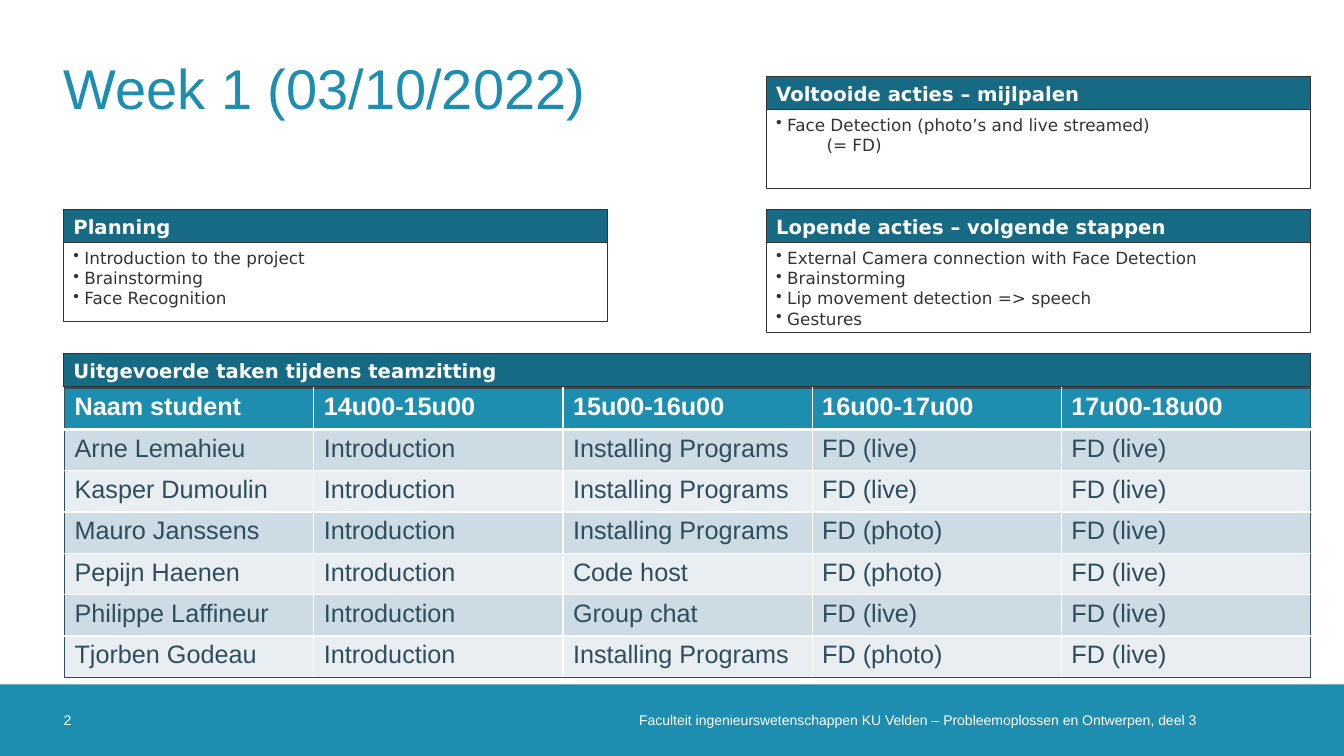
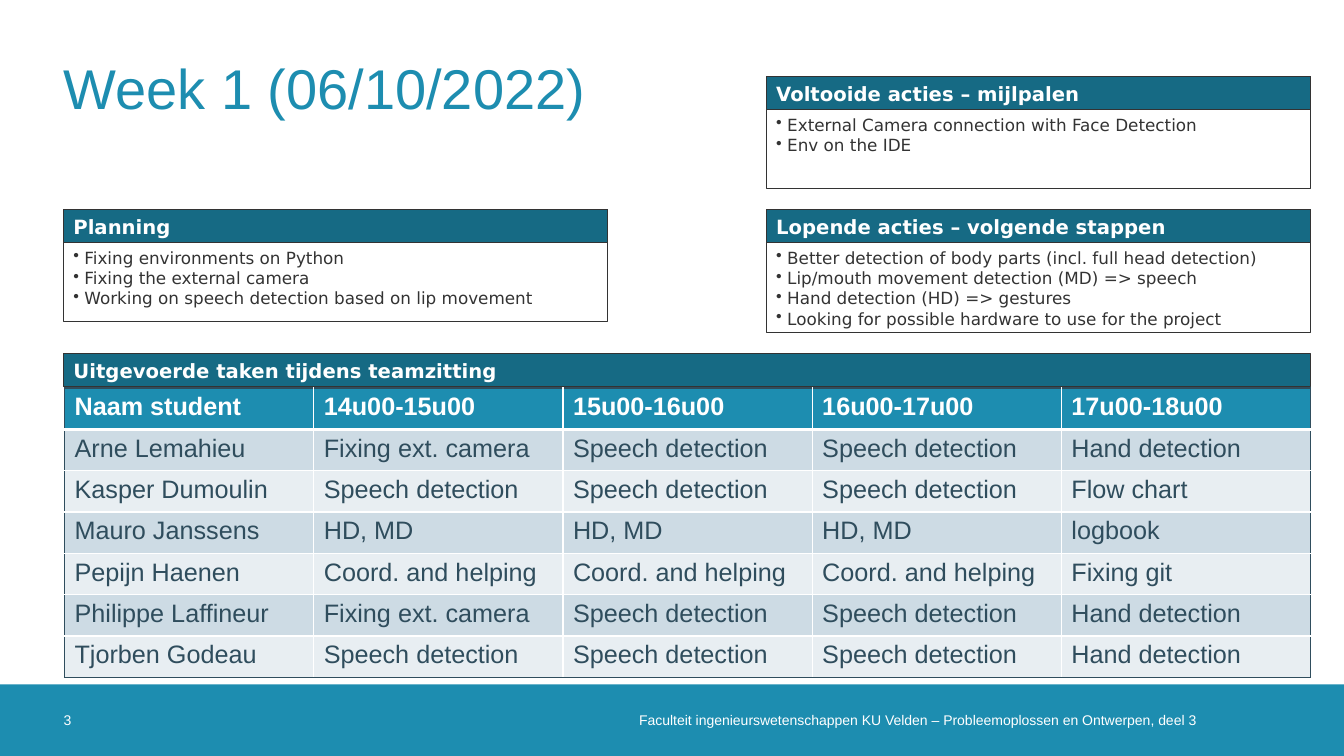
from dataclasses import dataclass

from lxml import etree
from pptx import Presentation
from pptx import util as u
from pptx.dml.color import RGBColor
from pptx.enum import shapes, text
from pptx.oxml import ns

# Shared look
SANS, PANEL_FONT = "Arial", "DejaVu Sans"
BLUE, DEEP_BLUE, SLATE = "1D8DB0", "166A84", "2F4D5D"
WHITE, CHARCOAL = "FFFFFF", "333333"
STRIPES = ("CDDBE4", "E8EEF2")

# Page grid: two panel columns, three panel rows and a footer band
WIDTH, HEIGHT = 13.33, 7.5
MARGIN, RIGHT_EDGE, PANEL_WIDTH = 0.63, 13.0, 5.4
COLUMNS = (MARGIN, RIGHT_EDGE - PANEL_WIDTH)
ROWS = (0.76, 2.08, 3.51)
BAR_HEIGHT, TABLE_ROW = 0.33, 0.41
BAND_TOP = 6.79
BAND_HEIGHT = HEIGHT - BAND_TOP

FOOTER = "Faculteit ingenieurswetenschappen KU Velden – Probleemoplossen en Ontwerpen, deel 3"
TASKS_TITLE = "Uitgevoerde taken tijdens teamzitting"
TASKS_HEADER = ("Naam student", "14u00-15u00", "15u00-16u00", "16u00-17u00", "17u00-18u00")


@dataclass(frozen=True)
class Area:
    left: float
    top: float
    width: float
    height: float

    def lengths(self) -> tuple:
        return tuple(u.Inches(n) for n in (self.left, self.top, self.width, self.height))


@dataclass(frozen=True)
class Style:
    size: float
    colour: str
    font: str = SANS
    bold: bool = False


@dataclass(frozen=True)
class Panel:
    title: str
    column: int
    row: int
    height: float
    items: tuple[str, ...]
    continuation: str = ""


@dataclass(frozen=True)
class Session:
    number: int
    title: str
    panels: tuple[Panel, ...]
    tasks: tuple[tuple[str, ...], ...]


TITLE_STYLE = Style(40, BLUE)
FOOTER_STYLE = Style(10, WHITE)
BAR_STYLE = Style(14, WHITE, PANEL_FONT, True)
ITEM_STYLE = Style(12, CHARCOAL, PANEL_FONT)
HEADER_STYLE = Style(18, WHITE, bold=True)
CELL_STYLE = Style(18, SLATE)


def rgb(colour: str) -> RGBColor:
    return RGBColor.from_string(colour)


def write(para, words: str, style: Style, align=text.PP_ALIGN.LEFT) -> None:
    para.text = words
    para.alignment = align
    font = para.font
    font.name, font.size, font.bold = style.font, u.Pt(style.size), style.bold
    font.color.rgb = rgb(style.colour)


def add_box(page, area: Area, fill: str = "", line: str = ""):
    box = page.shapes.add_shape(shapes.MSO_SHAPE.RECTANGLE, *area.lengths())
    box.shadow.inherit = False
    if fill:
        box.fill.solid()
        box.fill.fore_color.rgb = rgb(fill)
    else:
        box.fill.background()
    if line:
        box.line.color.rgb = rgb(line)
        box.line.width = u.Pt(0.75)
    else:
        box.line.fill.background()
    return box


def add_label(page, area: Area, words: str, style: Style,
              align=text.PP_ALIGN.LEFT, right_inset: float = 0) -> None:
    frame = page.shapes.add_textbox(*area.lengths()).text_frame
    frame.word_wrap = True
    frame.vertical_anchor = text.MSO_ANCHOR.MIDDLE
    frame.margin_left = frame.margin_top = frame.margin_bottom = 0
    frame.margin_right = u.Inches(right_inset)
    write(frame.paragraphs[0], words, style, align)


def add_bar(page, left: float, top: float, width: float, words: str) -> None:
    bar = add_box(page, Area(left, top, width, BAR_HEIGHT), DEEP_BLUE, CHARCOAL)
    bar.text_frame.word_wrap = True
    bar.text_frame.vertical_anchor = text.MSO_ANCHOR.MIDDLE
    write(bar.text_frame.paragraphs[0], words, BAR_STYLE)


def indent(para, margin: float, bullet: bool) -> None:
    props = para._p.get_or_add_pPr()
    props.set("marL", str(u.Inches(margin)))
    props.set("indent", str(-u.Inches(margin) if bullet else 0))
    if bullet:
        etree.SubElement(props, ns.qn("a:buChar")).set("char", "•")


def add_panel(page, panel: Panel) -> None:
    left, top = COLUMNS[panel.column], ROWS[panel.row]
    add_box(page, Area(left, top, PANEL_WIDTH, panel.height), line=CHARCOAL)
    add_bar(page, left, top, PANEL_WIDTH, panel.title)
    body = Area(left, top + BAR_HEIGHT, PANEL_WIDTH, panel.height - BAR_HEIGHT)
    frame = page.shapes.add_textbox(*body.lengths()).text_frame
    frame.word_wrap = True
    for index, item in enumerate(panel.items):
        para = frame.add_paragraph() if index else frame.paragraphs[0]
        write(para, item, ITEM_STYLE)
        indent(para, 0.11, bullet=True)
    if panel.continuation:
        para = frame.add_paragraph()
        write(para, panel.continuation, ITEM_STYLE)
        indent(para, 0.5, bullet=False)


def add_border(cell, side: str, colour: str, points: float) -> None:
    line = etree.SubElement(cell._tc.get_or_add_tcPr(), ns.qn(f"a:ln{side}"))
    line.set("w", str(u.Pt(points)))
    fill = etree.SubElement(line, ns.qn("a:solidFill"))
    etree.SubElement(fill, ns.qn("a:srgbClr")).set("val", colour)


def add_tasks(page, tasks: tuple[tuple[str, ...], ...]) -> None:
    lines = (TASKS_HEADER, *tasks)
    last_row, last_column = len(lines) - 1, len(TASKS_HEADER) - 1
    width = RIGHT_EDGE - MARGIN
    area = Area(MARGIN + 0.01, ROWS[2] + BAR_HEIGHT + 0.01, width - 0.01, TABLE_ROW * len(lines))
    table = page.shapes.add_table(len(lines), len(TASKS_HEADER), *area.lengths()).table
    table.horz_banding = False
    for row, line in enumerate(lines):
        for column, words in enumerate(line):
            cell = table.cell(row, column)
            # Dark outside edges, white inside, thicker below the header
            outside = {"L": column == 0, "R": column == last_column,
                       "T": row == 0, "B": row == last_row}
            for side, is_outside in outside.items():
                under_header = (row, side) in ((0, "B"), (1, "T"))
                add_border(cell, side, SLATE if is_outside else WHITE, 3 if under_header else 1)
            cell.fill.solid()
            cell.fill.fore_color.rgb = rgb(STRIPES[(row - 1) % 2] if row else BLUE)
            write(cell.text_frame.paragraphs[0], words, CELL_STYLE if row else HEADER_STYLE)
    add_bar(page, MARGIN, ROWS[2], width, TASKS_TITLE)


def add_frame(page, session: Session) -> None:
    # Footer band, footer text, page number and title
    add_box(page, Area(0, BAND_TOP, WIDTH, BAND_HEIGHT), BLUE)
    add_label(page, Area(6.28, BAND_TOP, 5.78, BAND_HEIGHT), FOOTER, FOOTER_STYLE,
              text.PP_ALIGN.RIGHT, 0.2)
    add_label(page, Area(MARGIN, BAND_TOP, BAND_HEIGHT, BAND_HEIGHT),
              str(session.number), FOOTER_STYLE)
    add_label(page, Area(MARGIN, 0.23, 12.07, 1.26), session.title, TITLE_STYLE)


def planning(*items: str) -> Panel:
    return Panel("Planning", 0, 1, 1.11, items)


def completed(*items: str, continuation: str = "") -> Panel:
    return Panel("Voltooide acties – mijlpalen", 1, 0, 1.11, items, continuation)


def ongoing(*items: str) -> Panel:
    return Panel("Lopende acties – volgende stappen", 1, 1, 1.22, items)


SESSIONS = (
    Session(
        2, "Week 1 (03/10/2022)",
        (
            planning("Introduction to the project", "Brainstorming", "Face Recognition"),
            completed("Face Detection (photo’s and live streamed)", continuation="(= FD)"),
            ongoing("External Camera connection with Face Detection", "Brainstorming",
                    "Lip movement detection => speech", "Gestures"),
        ),
        (
            ("Arne Lemahieu", "Introduction", "Installing Programs", "FD (live)", "FD (live)"),
            ("Kasper Dumoulin", "Introduction", "Installing Programs", "FD (live)", "FD (live)"),
            ("Mauro Janssens", "Introduction", "Installing Programs", "FD (photo)", "FD (live)"),
            ("Pepijn Haenen", "Introduction", "Code host", "FD (photo)", "FD (live)"),
            ("Philippe Laffineur", "Introduction", "Group chat", "FD (live)", "FD (live)"),
            ("Tjorben Godeau", "Introduction", "Installing Programs", "FD (photo)", "FD (live)"),
        ),
    ),
    Session(
        3, "Week 1 (06/10/2022)",
        (
            planning("Fixing environments on Python", "Fixing the external camera",
                     "Working on speech detection based on lip movement"),
            completed("External Camera connection with Face Detection", "Env on the IDE"),
            ongoing("Better detection of body parts (incl. full head detection)",
                    "Lip/mouth movement detection (MD) => speech",
                    "Hand detection (HD) => gestures",
                    "Looking for possible hardware to use for the project"),
        ),
        (
            ("Arne Lemahieu", "Fixing ext. camera", "Speech detection", "Speech detection",
             "Hand detection"),
            ("Kasper Dumoulin", "Speech detection", "Speech detection", "Speech detection",
             "Flow chart"),
            ("Mauro Janssens", "HD, MD", "HD, MD", "HD, MD", "logbook"),
            ("Pepijn Haenen", "Coord. and helping", "Coord. and helping", "Coord. and helping",
             "Fixing git"),
            ("Philippe Laffineur", "Fixing ext. camera", "Speech detection", "Speech detection",
             "Hand detection"),
            ("Tjorben Godeau", "Speech detection", "Speech detection", "Speech detection",
             "Hand detection"),
        ),
    ),
)


def main() -> None:
    deck = Presentation()
    deck.slide_width, deck.slide_height = u.Inches(WIDTH), u.Inches(HEIGHT)
    for session in SESSIONS:
        page = deck.slides.add_slide(deck.slide_layouts[6])
        add_frame(page, session)
        add_tasks(page, session.tasks)
        for panel in session.panels:
            add_panel(page, panel)
    deck.save("out.pptx")


if __name__ == "__main__":
    main()
